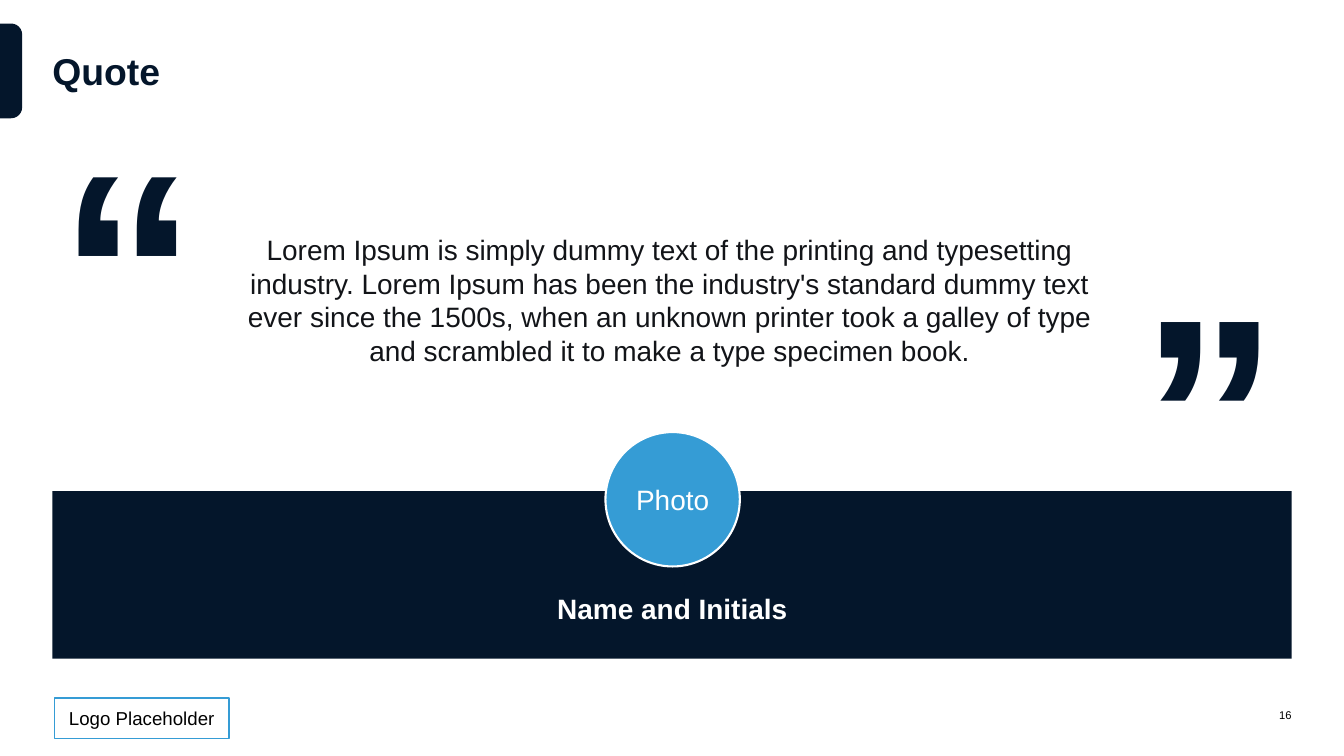
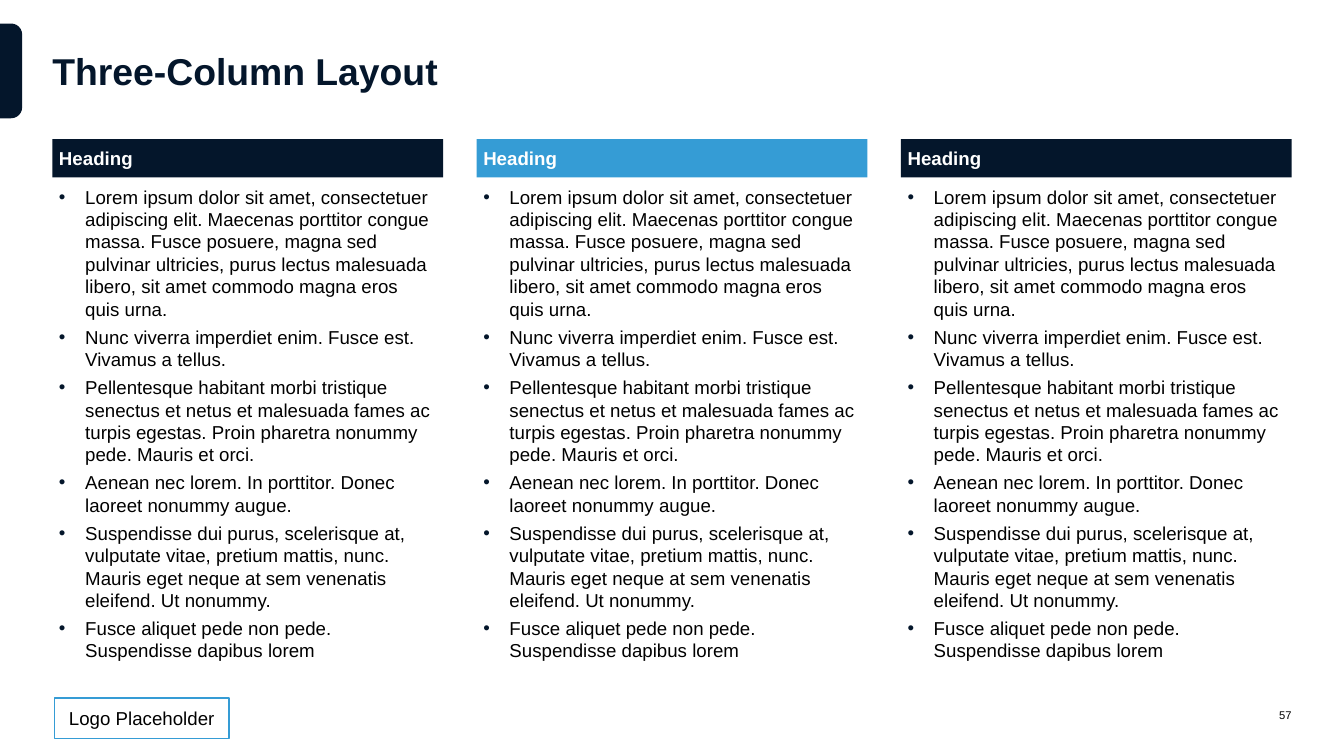
from dataclasses import dataclass

from lxml import etree
from pptx import Presentation
from pptx.dml.color import RGBColor
from pptx.enum.shapes import MSO_SHAPE
from pptx.enum.text import MSO_ANCHOR, PP_ALIGN
from pptx.oxml.ns import qn
from pptx.util import Inches, Pt

RECTANGLE, OVAL = MSO_SHAPE.RECTANGLE, MSO_SHAPE.OVAL
TAB_SHAPE = MSO_SHAPE.ROUND_2_SAME_RECTANGLE
TOP, MIDDLE = MSO_ANCHOR.TOP, MSO_ANCHOR.MIDDLE
LEFT, CENTER, RIGHT = PP_ALIGN.LEFT, PP_ALIGN.CENTER, PP_ALIGN.RIGHT


@dataclass(frozen=True)
class Theme:
    font: str = "Arial"
    navy: str = "04162B"
    blue: str = "359CD5"
    white: str = "FFFFFF"
    black: str = "000000"
    ink: str = "121418"
    title: float = 40
    quote: float = 30
    body: float = 20
    number: float = 12
    mark: float = 298.5


THEME = Theme()
SLIDE_WIDTH, SLIDE_HEIGHT = 20, 11.25
MARGIN = 0.78
CONTENT_WIDTH = SLIDE_WIDTH - 2 * MARGIN
COLUMN_GAP = 0.5
HEADING_TOP, HEADING_HEIGHT, BODY_HEIGHT = 2.07, 0.57, 7.46
BULLET_INDENT = 0.39
NO_INSETS = (0, 0)
DEFAULT_INSETS = (0.1, 0.05)

LOGO_LABEL = "Logo Placeholder"
QUOTE = {
    "title": "Quote",
    "number": "16",
    "text": "Lorem Ipsum is simply dummy text of the printing and typesetting industry. "
            "Lorem Ipsum has been the industry's standard dummy text ever since the 1500s, "
            "when an unknown printer took a galley of type and scrambled it to make a type "
            "specimen book.",
    "photo": "Photo",
    "author": "Name and Initials",
}
QUOTE_MARKS = [((MARGIN, 1.3, 1.63, 5.12), 0), ((17.51, 2.19, 1.63, 5.12), 180)]

BULLETS = [
    "Lorem ipsum dolor sit amet, consectetuer adipiscing elit. Maecenas porttitor congue "
    "massa. Fusce posuere, magna sed pulvinar ultricies, purus lectus malesuada libero, "
    "sit amet commodo magna eros quis urna.",
    "Nunc viverra imperdiet enim. Fusce est. Vivamus a tellus.",
    "Pellentesque habitant morbi tristique senectus et netus et malesuada fames ac turpis "
    "egestas. Proin pharetra nonummy pede. Mauris et orci.",
    "Aenean nec lorem. In porttitor. Donec laoreet nonummy augue.",
    "Suspendisse dui purus, scelerisque at, vulputate vitae, pretium mattis, nunc. Mauris "
    "eget neque at sem venenatis eleifend. Ut nonummy.",
    "Fusce aliquet pede non pede. Suspendisse dapibus lorem",
]
COLUMNS = {
    "title": "Three-Column Layout",
    "number": "57",
    "columns": [
        ("Heading", THEME.navy, BULLETS),
        ("Heading", THEME.blue, BULLETS),
        ("Heading", THEME.navy, BULLETS),
    ],
}


def inches(box):
    return [Inches(length) for length in box]


def style(paragraph, size, color, bold=False, align=LEFT):
    paragraph.alignment = align
    font = paragraph.font
    font.name, font.size, font.bold = THEME.font, Pt(size), bold
    font.color.rgb = RGBColor.from_string(color)


def set_frame(shape, anchor, insets, wrap=True):
    frame = shape.text_frame
    frame.word_wrap, frame.vertical_anchor = wrap, anchor
    side, edge = inches(insets)
    frame.margin_left = frame.margin_right = side
    frame.margin_top = frame.margin_bottom = edge
    return frame


def write(shape, text, size, color, bold=False, align=LEFT, anchor=TOP,
          insets=DEFAULT_INSETS, wrap=True):
    frame = set_frame(shape, anchor, insets, wrap)
    frame.text = text
    style(frame.paragraphs[0], size, color, bold, align)


def add_label(slide, box, *args, **kwargs):
    label = slide.shapes.add_textbox(*inches(box))
    write(label, *args, **kwargs)
    return label


def add_block(slide, kind, box, fill, line=None, line_width=0):
    block = slide.shapes.add_shape(kind, *inches(box))
    block.shadow.inherit = False
    block.fill.solid()
    block.fill.fore_color.rgb = RGBColor.from_string(fill)
    if line:
        block.line.color.rgb = RGBColor.from_string(line)
        block.line.width = Pt(line_width)
    else:
        block.line.fill.background()
    return block


def add_bullets(slide, box, bullets):
    frame = set_frame(slide.shapes.add_textbox(*inches(box)), TOP, (0.1, 0.12))
    for index, bullet in enumerate(bullets):
        paragraph = frame.add_paragraph() if index else frame.paragraphs[0]
        paragraph.text = bullet
        properties = paragraph._p.get_or_add_pPr()
        properties.set("marL", str(Inches(BULLET_INDENT)))
        properties.set("indent", str(-Inches(BULLET_INDENT)))
        bullet_color = etree.SubElement(properties, qn("a:buClr"))
        etree.SubElement(bullet_color, qn("a:srgbClr"), val=THEME.navy)
        etree.SubElement(properties, qn("a:buFont"), typeface=THEME.font)
        etree.SubElement(properties, qn("a:buChar"), char="•")
        paragraph.space_before = Pt(3 if index else 0)
        paragraph.space_after = Pt(3)
        style(paragraph, THEME.body, THEME.black)


def add_slide(deck, content):
    slide = deck.slides.add_slide(deck.slide_layouts[5])
    title = slide.shapes.title
    title.left, title.top, title.width, title.height = inches((MARGIN, 0.35, CONTENT_WIDTH, 1.39))
    write(title, content["title"], THEME.title, THEME.navy, bold=True, anchor=MIDDLE,
          insets=NO_INSETS)
    tab = add_block(slide, TAB_SHAPE, (-0.54, 0.89, 1.41, 0.33), THEME.navy)
    tab.adjustments[0], tab.adjustments[1] = 0.5, 0
    tab.rotation = 90
    logo = add_block(slide, RECTANGLE, (0.81, 10.39, 2.6, 0.6), THEME.white, THEME.blue, 1.5)
    write(logo, LOGO_LABEL, THEME.body, THEME.black, align=CENTER, anchor=MIDDLE)
    add_label(slide, (18.34, 10.39, 0.88, 0.51), content["number"], THEME.number, THEME.black,
              align=RIGHT, anchor=MIDDLE, insets=NO_INSETS)
    return slide


def build_quote(deck):
    slide = add_slide(deck, QUOTE)
    add_label(slide, (3.46, 3.41, 13.01, 2.12), QUOTE["text"], THEME.quote, THEME.ink,
              align=CENTER)
    for box, rotation in QUOTE_MARKS:
        mark = add_label(slide, box, "“", THEME.mark, THEME.navy, bold=True, align=CENTER)
        mark.rotation = rotation
    add_block(slide, RECTANGLE, (MARGIN, 7.31, CONTENT_WIDTH, 2.49), THEME.navy)
    photo = add_block(slide, OVAL, (9.01, 6.43, 2, 2), THEME.blue, THEME.white, 2.25)
    write(photo, QUOTE["photo"], THEME.quote, THEME.white, align=CENTER, anchor=MIDDLE,
          wrap=False)
    add_label(slide, (3.88, 8.76, 12.25, 0.61), QUOTE["author"], THEME.quote, THEME.white,
              bold=True, align=CENTER)


def build_columns(deck):
    slide = add_slide(deck, COLUMNS)
    columns = COLUMNS["columns"]
    width = (CONTENT_WIDTH - COLUMN_GAP * (len(columns) - 1)) / len(columns)
    for index, (heading, color, bullets) in enumerate(columns):
        left = MARGIN + index * (width + COLUMN_GAP)
        band = add_block(slide, RECTANGLE, (left, HEADING_TOP, width, HEADING_HEIGHT), color)
        write(band, heading, THEME.body, THEME.white, bold=True, anchor=MIDDLE,
              insets=(0.1, 0.04))
        add_bullets(slide, (left, HEADING_TOP + HEADING_HEIGHT, width, BODY_HEIGHT), bullets)


def main():
    deck = Presentation()
    deck.slide_width, deck.slide_height = inches((SLIDE_WIDTH, SLIDE_HEIGHT))
    build_quote(deck)
    build_columns(deck)
    deck.save("out.pptx")


if __name__ == "__main__":
    main()
